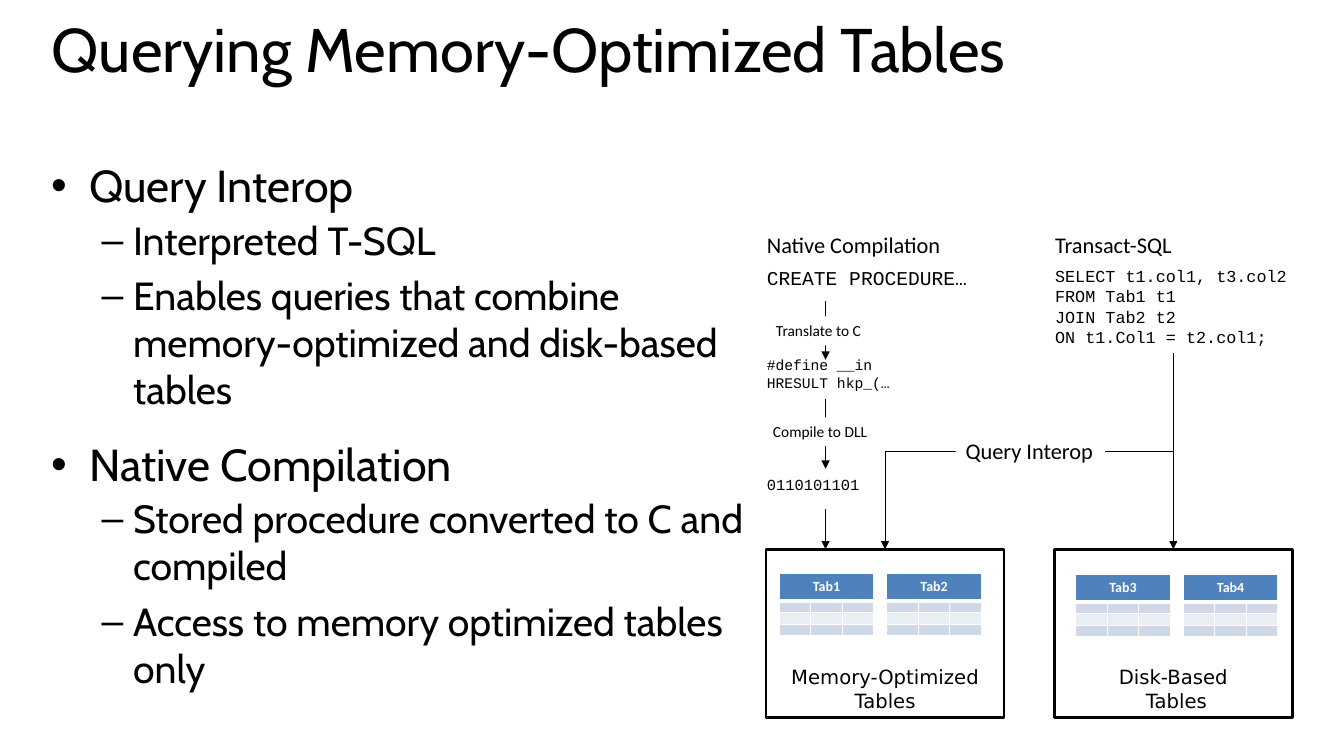
from lxml import etree
from pptx import Presentation
from pptx.dml.color import RGBColor
from pptx.enum import shapes, text
from pptx.oxml import ns
from pptx.util import Pt

THEME = dict(
    black="000000", white="FFFFFF", header="4F81BD", band_dark="D0D8E8", band_light="E9EDF4",
    heading="Cabin", label="Calibri", code="Courier New", store="DejaVu Sans",
    title=44, topic=32, detail=28, caption=16, store_size=14, step=11, tab=10, empty=1,
    arrow=0.75, frame=2, rule=1, header_rule=3,
)
T = THEME

TITLE = "Querying Memory-Optimized Tables"
TOPICS = [
    ("Query Interop", ["Interpreted T-SQL",
                       "Enables queries that combine memory-optimized and disk-based tables"]),
    ("Native Compilation", ["Stored procedure converted to C and compiled",
                            "Access to memory optimized tables only"]),
]
STORES = [
    dict(x=547.2, lines=["Memory-Optimized Tables"], tabs=["Tab1", "Tab2"], inset=9.4, top=17.3),
    dict(x=753.1, lines=["Disk-Based", " Tables"], tabs=["Tab3", "Tab4"], inset=15.3, top=18),
]
SQL = ["SELECT t1.col1, t3.col2", "FROM Tab1 t1", "JOIN Tab2 t2", "ON t1.Col1 = t2.col1;"]
NATIVE = [("CREATE PROCEDURE…", 14, 0), ("#define __in", 10.5, 47.6),
          ("HRESULT hkp_(…", 10.5, 0), ("0110101101", 11, 60)]
STEPS = [("Translate to C", 547.2, 226.1, 92.9, 20.7, T["step"]),
         ("Compile to DLL", 545, 298.1, 99.4, 20.7, T["step"])]
INTEROP = ("Query Interop", 682.6, 308.9, 106.6, 26.6, T["caption"])

STORE_TOP, STORE_W, STORE_H = 392.4, 170, 120
TAB_PITCH, TAB_COL, TAB_HEAD, TAB_ROW = 76.9, 22.5, 19.4, 8.4
NATIVE_X, NATIVE_STOPS = 589.7, [(215.3, 257), (285.1, 334.8), (363.6, STORE_TOP)]
SQL_X, SQL_END, INTEROP_X = 838.1, 252, 632.2


def rgb(name):
    return RGBColor.from_string(T[name])


def write(p, words, font, size, color="black", bold=False, before=0, after=0):
    p.space_before, p.space_after = Pt(before), Pt(after)
    r = p.add_run()
    r.text = words
    r.font.name, r.font.size, r.font.bold = T[font], Pt(size), bold
    r.font.color.rgb = rgb(color)
    return p


def next_paragraph(tf):
    first = tf.paragraphs[0]
    return tf.add_paragraph() if first.runs else first


def text_box(s, x, y, w, h):
    sp = s.shapes.add_textbox(Pt(x), Pt(y), Pt(w), Pt(h))
    sp.text_frame.word_wrap = True
    return sp


def bullet(p, mark, left, hang):
    pPr = p._p.get_or_add_pPr()
    pPr.set("marL", str(Pt(left)))
    pPr.set("indent", str(-Pt(hang)))
    etree.SubElement(pPr, ns.qn("a:buFont")).set("typeface", "Arial")
    etree.SubElement(pPr, ns.qn("a:buChar")).set("char", mark)


def arrow(s, x1, y1, x2, y2, kind=shapes.MSO_CONNECTOR.STRAIGHT, head=True):
    cn = s.shapes.add_connector(kind, Pt(x1), Pt(y1), Pt(x2), Pt(y2))
    cn.line.color.rgb, cn.line.width = rgb("black"), Pt(T["arrow"])
    if head:
        etree.SubElement(cn.line._get_or_add_ln(), ns.qn("a:tailEnd")).set("type", "triangle")
    etree.SubElement(cn._element.spPr, ns.qn("a:effectLst"))
    return cn


def elbow_down(s, x1, y1, x2, y2):
    cx, cy, w, h = (x1 + x2) / 2, (y1 + y2) / 2, y2 - y1, x1 - x2
    cn = arrow(s, cx - w / 2, cy - h / 2, cx + w / 2, cy + h / 2, shapes.MSO_CONNECTOR.ELBOW)
    cn._element.spPr.find(ns.qn("a:xfrm")).set("rot", "5400000")


def style_cell(cell, fill, bottom):
    cell.margin_top = cell.margin_bottom = Pt(3.6)
    cell.fill.solid()
    cell.fill.fore_color.rgb = rgb(fill)
    for i, side in enumerate("LRTB"):
        ln = etree.Element(ns.qn("a:ln" + side), w=str(Pt(bottom if side == "B" else T["rule"])))
        paint = etree.SubElement(ln, ns.qn("a:solidFill"))
        etree.SubElement(paint, ns.qn("a:srgbClr")).set("val", T["white"])
        cell._tc.get_or_add_tcPr().insert(i, ln)


def mini_table(s, name, x, y):
    fills = ["header", "band_dark", "band_light", "band_dark"]
    heights = [TAB_HEAD] + [TAB_ROW] * 3
    tb = s.shapes.add_table(4, 3, Pt(x), Pt(y), Pt(3 * TAB_COL), Pt(sum(heights))).table
    for col in tb.columns:
        col.width = Pt(TAB_COL)
    for i, (row, fill, height) in enumerate(zip(tb.rows, fills, heights)):
        row.height = Pt(height)
        for cell in row.cells:
            style_cell(cell, fill, T["rule"] if i else T["header_rule"])
            if i:
                end = etree.SubElement(cell.text_frame.paragraphs[0]._p, ns.qn("a:endParaRPr"))
                end.set("sz", str(T["empty"] * 100))
    tb.cell(0, 0).merge(tb.cell(0, 2))
    p = write(tb.cell(0, 0).text_frame.paragraphs[0], name, "label", T["tab"], "white", True)
    p.alignment = text.PP_ALIGN.CENTER


def store(s, x, lines, tabs, inset, top):
    sp = s.shapes.add_shape(shapes.MSO_SHAPE.RECTANGLE, Pt(x), Pt(STORE_TOP), Pt(STORE_W), Pt(STORE_H))
    sp.shadow.inherit = False
    sp.fill.solid()
    sp.fill.fore_color.rgb = rgb("white")
    sp.line.color.rgb, sp.line.width = rgb("black"), Pt(T["frame"])
    tf = sp.text_frame
    tf.word_wrap, tf.vertical_anchor = True, text.MSO_ANCHOR.BOTTOM
    tf.margin_left = tf.margin_right = Pt(14.4)
    for line in lines:
        write(next_paragraph(tf), line, "store", T["store_size"]).alignment = text.PP_ALIGN.CENTER
    for i, name in enumerate(tabs):
        mini_table(s, name, x + inset + i * TAB_PITCH, STORE_TOP + top)


def label(s, words, x, y, w, h, size):
    sp = text_box(s, x, y, w, h)
    sp.fill.solid()
    sp.fill.fore_color.rgb = rgb("white")
    write(sp.text_frame.paragraphs[0], words, "label", size)


def code_block(s, x, y, w, h, caption, rows):
    tf = text_box(s, x, y, w, h).text_frame
    write(tf.paragraphs[0], caption, "label", T["caption"], after=6)
    for words, size, gap in rows:
        write(tf.add_paragraph(), words, "code", size, before=gap)


def main():
    prs = Presentation()
    prs.slide_width, prs.slide_height = Pt(960), Pt(540)
    s = prs.slides.add_slide(prs.slide_layouts[6])

    p = text_box(s, 30, 14.4, 907.2, 83.5).text_frame.paragraphs[0]
    write(p, TITLE, "heading", T["title"]).line_spacing = 0.8

    tf = text_box(s, 29.5, 109.4, 509.8, 416.9).text_frame
    for topic, details in TOPICS:
        p = write(next_paragraph(tf), topic, "heading", T["topic"], before=14)
        bullet(p, "•", 27, 27)
        for detail in details:
            p = write(tf.add_paragraph(), detail, "heading", T["detail"], before=3, after=3)
            p.level = 1
            bullet(p, "–", 58.5, 22.5)

    for item in STORES:
        store(s, **item)

    code_block(s, 746.6, 161.3, 182.9, 90.7, "Transact-SQL", [(line, 12, 0) for line in SQL])
    arrow(s, SQL_X, SQL_END, SQL_X, STORE_TOP)
    elbow_down(s, SQL_X, SQL_END, INTEROP_X, STORE_TOP)
    label(s, *INTEROP)

    code_block(s, 540.7, 161.3, 158.4, 202.3, "Native Compilation", NATIVE)
    for top, bottom in NATIVE_STOPS:
        arrow(s, NATIVE_X, top, NATIVE_X, bottom)
    for step in STEPS:
        label(s, *step)

    prs.save("out.pptx")


if __name__ == "__main__":
    main()
